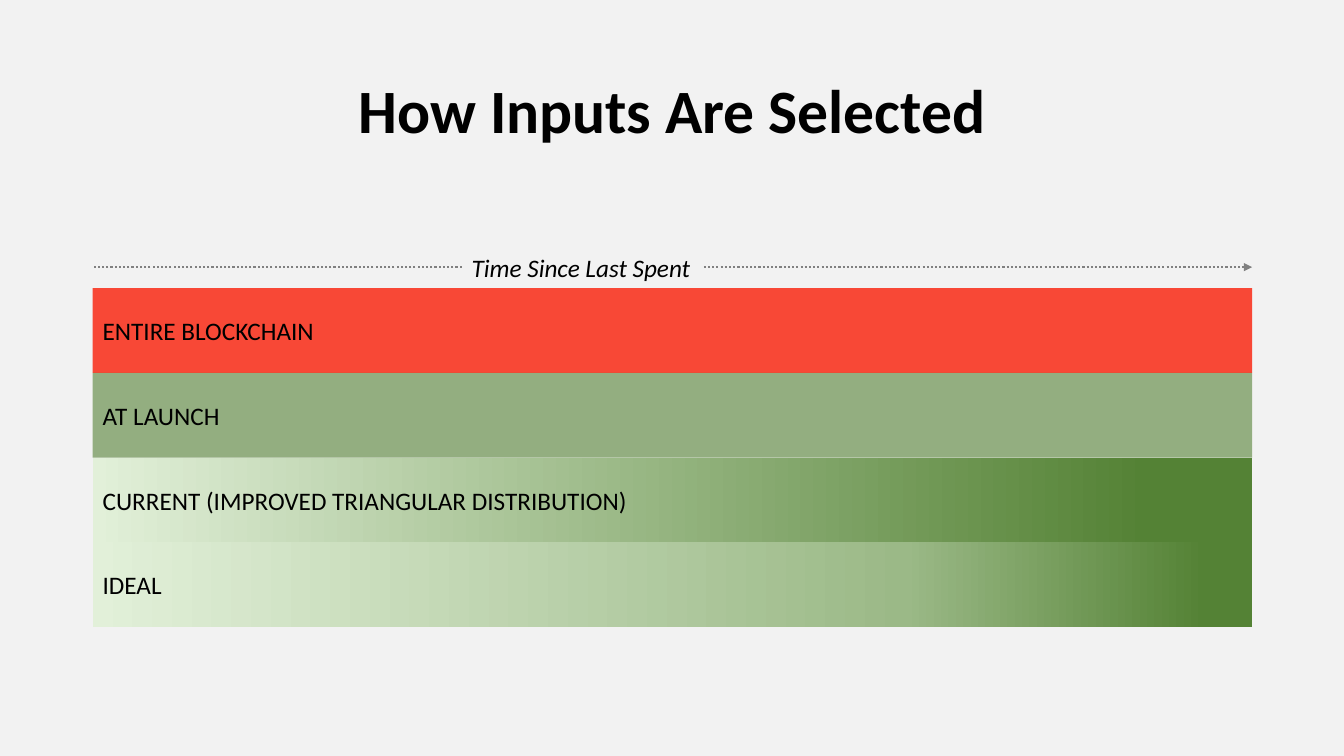
import pptx
import pptx.dml.color
import pptx.enum.dml
import pptx.enum.shapes
import pptx.enum.text
import pptx.oxml
import pptx.oxml.ns
import pptx.util
from pptx.util import Inches

COLORS = {
    "background": "F2F2F2",
    "text": "000000",
    "arrow": "808080",
    "red": "F84836",
    "pale": "E2F0D9",
    "medium": "9BB987",
    "green": "548235",
}
LEFT, WIDTH = 0.92, 11.5
BAR_TOP, BAR_HEIGHT = 2.86, 0.84
AXIS_Y = 2.65
LABEL_LEFT, LABEL_WIDTH = 4.58, 2.4

# Each bar: label, gradient stops (position in percent, color), opacity in percent.
BARS = [
    ("ENTIRE BLOCKCHAIN", [(0, "red")], 100),
    ("AT LAUNCH", [(0, "green")], 60),
    ("CURRENT (IMPROVED TRIANGULAR DISTRIBUTION)",
     [(0, "pale"), (91, "green"), (100, "green")], 100),
    ("IDEAL",
     [(0, "pale"), (70, "medium"), (96, "green"), (100, "green")], 100),
]


def rgb(name):
    return pptx.dml.color.RGBColor.from_string(COLORS[name])


def add_xml(parent, tag, **attrs):
    child = pptx.oxml.parse_xml(f"<a:{tag} {pptx.oxml.ns.nsdecls('a')}/>")
    for key, value in attrs.items():
        child.set(key, str(value))
    parent.append(child)
    return child


class Deck:
    font = "Calibri"

    def __init__(self):
        self.prs = pptx.Presentation()
        self.prs.slide_width = Inches(13.33)
        self.prs.slide_height = Inches(7.5)
        self.s = self.prs.slides.add_slide(self.prs.slide_layouts[6])
        fill = self.s.background.fill
        fill.solid()
        fill.fore_color.rgb = rgb("background")

    def set_text(self, sp, text, size=18, align="LEFT", bold=False, italic=False):
        p = sp.text_frame.paragraphs[0]
        p.text = text
        p.alignment = pptx.enum.text.PP_ALIGN[align]
        p.font.name = self.font
        p.font.size = pptx.util.Pt(size)
        p.font.bold = bold
        p.font.italic = italic
        p.font.color.rgb = rgb("text")
        return p

    def text(self, x, y, w, h, text, wrap=True, anchor="TOP", **style):
        sp = self.s.shapes.add_textbox(Inches(x), Inches(y), Inches(w), Inches(h))
        tf = sp.text_frame
        tf.word_wrap = wrap
        tf.vertical_anchor = pptx.enum.text.MSO_ANCHOR[anchor]
        return self.set_text(sp, text, **style)

    def bar(self, x, y, w, h, text, stops, opacity):
        sp = self.s.shapes.add_shape(
            pptx.enum.shapes.MSO_SHAPE.RECTANGLE,
            Inches(x), Inches(y), Inches(w), Inches(h))
        sp.shadow.inherit = False
        sp.line.fill.background()
        if len(stops) == 1:
            sp.fill.solid()
            sp.fill.fore_color.rgb = rgb(stops[0][1])
            if opacity < 100:
                color = sp._element.spPr.find(".//" + pptx.oxml.ns.qn("a:srgbClr"))
                add_xml(color, "alpha", val=opacity * 1000)
        else:
            self.gradient(sp, stops)
        sp.text_frame.vertical_anchor = pptx.enum.text.MSO_ANCHOR.MIDDLE
        self.set_text(sp, text)

    def gradient(self, sp, stops):
        sp.fill.gradient()
        sp.fill.gradient_angle = 0
        stop_list = sp._element.spPr.find(".//" + pptx.oxml.ns.qn("a:gsLst"))
        for old in list(stop_list):
            stop_list.remove(old)
        for position, name in stops:
            stop = add_xml(stop_list, "gs", pos=position * 1000)
            add_xml(stop, "srgbClr", val=COLORS[name])

    def dotted_line(self, x1, x2, y, arrow=False):
        c = self.s.shapes.add_connector(
            pptx.enum.shapes.MSO_CONNECTOR.STRAIGHT,
            Inches(x1), Inches(y), Inches(x2), Inches(y))
        c.line.color.rgb = rgb("arrow")
        c.line.width = pptx.util.Pt(1.5)
        c.line.dash_style = pptx.enum.dml.MSO_LINE.ROUND_DOT
        if arrow:
            add_xml(c._element.spPr.find(pptx.oxml.ns.qn("a:ln")),
                    "tailEnd", type="triangle")
        add_xml(c._element.spPr, "effectLst")


def main():
    deck = Deck()
    title = deck.text(LEFT, 0.4, WIDTH, 1.45, "How Inputs Are Selected",
                      anchor="MIDDLE", size=44, align="CENTER", bold=True)
    title.line_spacing = 0.9

    for i, (label, stops, opacity) in enumerate(BARS):
        deck.bar(LEFT, BAR_TOP + i * BAR_HEIGHT, WIDTH, BAR_HEIGHT,
                 label, stops, opacity)

    deck.text(LABEL_LEFT, 2.45, LABEL_WIDTH, 0.4, "Time Since Last Spent",
              wrap=False, italic=True)
    deck.dotted_line(LABEL_LEFT, LEFT, AXIS_Y)
    deck.dotted_line(LABEL_LEFT + LABEL_WIDTH, LEFT + WIDTH, AXIS_Y, arrow=True)

    deck.prs.save("out.pptx")


if __name__ == "__main__":
    main()
